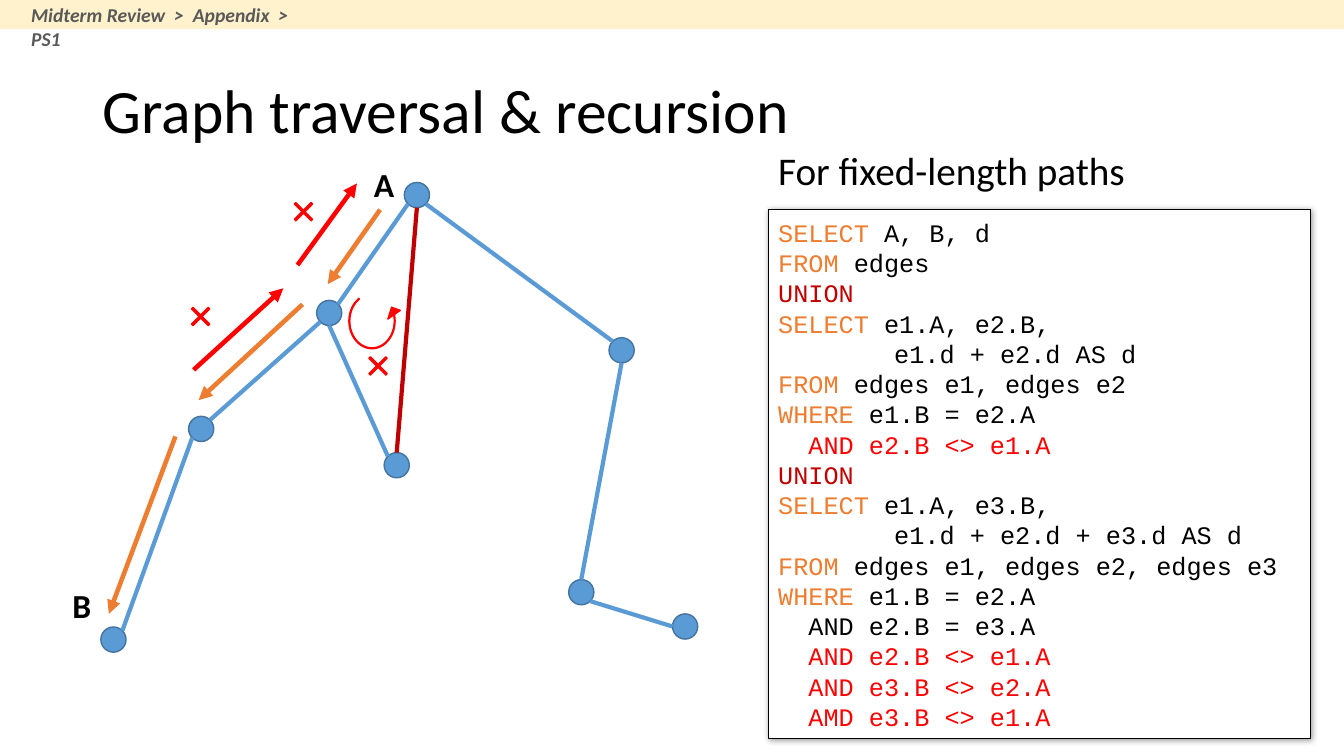
"""Build the slide on graph traversal and recursion with fixed-length SQL paths."""
from math import sqrt

from lxml import etree
from pptx import Presentation
from pptx.dml.color import RGBColor
from pptx.enum.shapes import MSO_CONNECTOR, MSO_SHAPE
from pptx.enum.text import MSO_ANCHOR, MSO_AUTO_SIZE, PP_ALIGN
from pptx.oxml.ns import qn
from pptx.util import Inches, Pt

STRAIGHT = MSO_CONNECTOR.STRAIGHT
OVAL, RECT = MSO_SHAPE.OVAL, MSO_SHAPE.RECTANGLE
CROSS, LOOP = MSO_SHAPE.MATH_MULTIPLY, MSO_SHAPE.CIRCULAR_ARROW
LEFT = PP_ALIGN.LEFT
TOP, MIDDLE = MSO_ANCHOR.TOP, MSO_ANCHOR.MIDDLE
NO_FIT = MSO_AUTO_SIZE.NONE

COLORS = {"black": "000000", "white": "FFFFFF", "node": "5B9BD5", "rim": "43739E",
          "orange": "ED7D31", "dark_red": "C00000", "red": "FF0000",
          "band": "FFF2CC", "grey": "595959"}
SLIDE_W, SLIDE_H = 13.33, 7.5
NODE = 0.25
CROSS_SIZE = 0.32
CODE_TAB = 1.0

TITLE = "Graph traversal & recursion"
BREADCRUMB = "Midterm Review  >  Appendix  >  PS1"
CAPTION = "For fixed-length paths"
CODE = [
    [("SELECT ", "orange"), ("A, B, d", "black")],
    [("FROM ", "orange"), ("edges", "black")],
    [("UNION", "dark_red")],
    [("SELECT ", "orange"), ("e1.A, e2.B,", "black")],
    [("\t e1.d + e2.d AS d", "black")],
    [("FROM ", "orange"), ("edges e1, edges e2", "black")],
    [("WHERE ", "orange"), ("e1.B = e2.A", "black")],
    [("  AND e2.B <> e1.A", "red")],
    [("UNION", "dark_red")],
    [("SELECT ", "orange"), ("e1.A, e3.B,", "black")],
    [("\t e1.d + e2.d + e3.d AS d", "black")],
    [("FROM ", "orange"), ("edges e1, edges e2, edges e3", "black")],
    [("WHERE ", "orange"), ("e1.B = e2.A", "black")],
    [("  AND e2.B = e3.A", "black")],
    [("  AND e2.B <> e1.A", "red")],
    [("  AND e3.B <> e2.A", "red")],
    [("  AMD e3.B <> e1.A", "red")],
]
NODES = {"A": (4.01, 1.81), "fork": (3.14, 2.98), "bend": (1.87, 4.13),
         "inner": (3.81, 4.49), "B": (1.0, 6.22), "right": (6.04, 3.35),
         "low": (5.64, 5.75), "end": (6.67, 6.09)}
EDGES = [
    ("A", "SW", "fork", "NE", "node"), ("fork", "SW", "bend", "NE", "node"),
    ("bend", "SW", "B", "NE", "node"), ("fork", "S", "inner", "NW", "node"),
    ("A", "SE", "right", "NW", "node"), ("right", "S", "low", "N", "node"),
    ("low", "SE", "end", "W", "node"), ("A", "S", "inner", "N", "dark_red"),
]
STEPS = [
    ((3.77, 2.08), (3.25, 2.82), "orange"), ((3.0, 3.02), (1.97, 3.97), "orange"),
    ((1.74, 4.33), (1.08, 6.09), "orange"), ((2.95, 2.63), (3.54, 1.82), "red"),
    ((1.92, 3.67), (2.81, 2.86), "red"),
]
CROSSES = [(2.85, 1.94), (1.83, 2.98), (3.59, 3.47)]
LOOP_ADJUSTMENTS = [0.014, 11.423, 9.598, 72.086, 0.125]
LABELS = [
    ("A", (3.61, 1.58, 0.41, 0.5), False, {"size": Pt(24), "bold": True}, "black"),
    ("B", (0.62, 5.75, 0.38, 0.5), False, {"size": Pt(24), "bold": True}, "black"),
    (CAPTION, (7.62, 1.4, 3.64, 0.57), False, {"size": Pt(28)}, "black"),
    (BREADCRUMB, (0.21, -0.02, 3.05, 0.34), True,
     {"size": Pt(14), "bold": True, "italic": True}, "grey"),
]


def rgb(color):
    return RGBColor.from_string(COLORS[color])


def apply(target, formats):
    for attribute, value in formats.items():
        setattr(target, attribute, value)


def add_run(paragraph, text, color, formats):
    run = paragraph.add_run()
    run.text = text
    apply(run.font, {"name": "Calibri", **formats})
    run.font.color.rgb = rgb(color)


def add_shape(slide, kind, box, fill, outline=None, width=1.0):
    shape = slide.shapes.add_shape(kind, *map(Inches, box))
    shape.shadow.inherit = False
    shape.fill.solid()
    shape.fill.fore_color.rgb = rgb(fill)
    if outline:
        shape.line.color.rgb = rgb(outline)
        shape.line.width = Pt(width)
    else:
        shape.line.fill.background()
    return shape


def add_line(slide, start, end, color, width, arrow=False):
    line = slide.shapes.add_connector(STRAIGHT, *map(Inches, (*start, *end)))
    line.line.color.rgb = rgb(color)
    line.line.width = Pt(width)
    properties = line._element.spPr
    if arrow:
        etree.SubElement(properties.find(qn("a:ln")), qn("a:tailEnd"), type="triangle")
    etree.SubElement(properties, qn("a:effectLst"))


def rim_point(node, compass):
    """Return the point on a node's rim in a compass direction."""
    dx = ("E" in compass) - ("W" in compass)
    dy = ("S" in compass) - ("N" in compass)
    reach = NODE / 2 / sqrt(dx * dx + dy * dy)
    left, top = NODES[node]
    return left + NODE / 2 + dx * reach, top + NODE / 2 + dy * reach


def add_title(slide):
    title = slide.shapes.title
    apply(title, dict(zip(("left", "top", "width", "height"),
                          map(Inches, (0.92, 0.4, 11.5, 1.45)))))
    apply(title.text_frame, {"vertical_anchor": MIDDLE, "auto_size": NO_FIT})
    paragraph = title.text_frame.paragraphs[0]
    apply(paragraph, {"alignment": LEFT, "line_spacing": 0.9})
    add_run(paragraph, TITLE, "black", {"size": Pt(44)})


def add_graph(slide):
    for corner in NODES.values():
        add_shape(slide, OVAL, (*corner, NODE, NODE), "node", "rim")
    for source, leaving, target, entering, color in EDGES:
        add_line(slide, rim_point(source, leaving), rim_point(target, entering), color, 3)
    for start, end, color in STEPS:
        add_line(slide, start, end, color, 3.25, arrow=True)
    for corner in CROSSES:
        cross = add_shape(slide, CROSS, (*corner, CROSS_SIZE, CROSS_SIZE), "red", "red")
        cross.adjustments[0] = 0.065
    loop = add_shape(slide, LOOP, (3.39, 2.84, 0.6, 0.69), "red", "red")
    for index, value in enumerate(LOOP_ADJUSTMENTS):
        loop.adjustments[index] = value
    loop.rotation = 180
    loop._element.spPr.find(qn("a:xfrm")).set("flipH", "1")


def add_code(slide):
    panel = add_shape(slide, RECT, (7.62, 2.08, 5.38, 5.25), "white", "black", 0.75)
    effects = panel._element.spPr.find(qn("a:effectLst"))
    shadow = etree.SubElement(effects, qn("a:outerShdw"), blurRad=str(Pt(4)),
                              dist=str(Pt(1)), dir="2700000", algn="tl", rotWithShape="0")
    tint = etree.SubElement(shadow, qn("a:srgbClr"), val=COLORS["black"])
    etree.SubElement(tint, qn("a:alpha"), val="40000")
    frame = panel.text_frame
    apply(frame, {"vertical_anchor": MIDDLE, "word_wrap": True, "auto_size": NO_FIT})
    for number, pieces in enumerate(CODE):
        paragraph = frame.add_paragraph() if number else frame.paragraphs[0]
        paragraph.alignment = LEFT
        tabs = etree.SubElement(paragraph._p.get_or_add_pPr(), qn("a:tabLst"))
        etree.SubElement(tabs, qn("a:tab"), pos=str(Inches(CODE_TAB)), algn="l")
        for text, color in pieces:
            add_run(paragraph, text, color, {"name": "Courier New", "size": Pt(18)})


def add_labels(slide):
    for text, box, wrap, formats, color in LABELS:
        frame = slide.shapes.add_textbox(*map(Inches, box)).text_frame
        apply(frame, {"word_wrap": wrap, "vertical_anchor": TOP, "auto_size": NO_FIT})
        add_run(frame.paragraphs[0], text, color, formats)


def main():
    deck = Presentation()
    apply(deck, {"slide_width": Inches(SLIDE_W), "slide_height": Inches(SLIDE_H)})
    slide = deck.slides.add_slide(deck.slide_layouts.get_by_name("Title Only"))
    add_title(slide)
    add_graph(slide)
    add_code(slide)
    add_shape(slide, RECT, (0, 0, SLIDE_W, 0.29), "band")
    add_labels(slide)
    deck.save("out.pptx")


if __name__ == "__main__":
    main()
